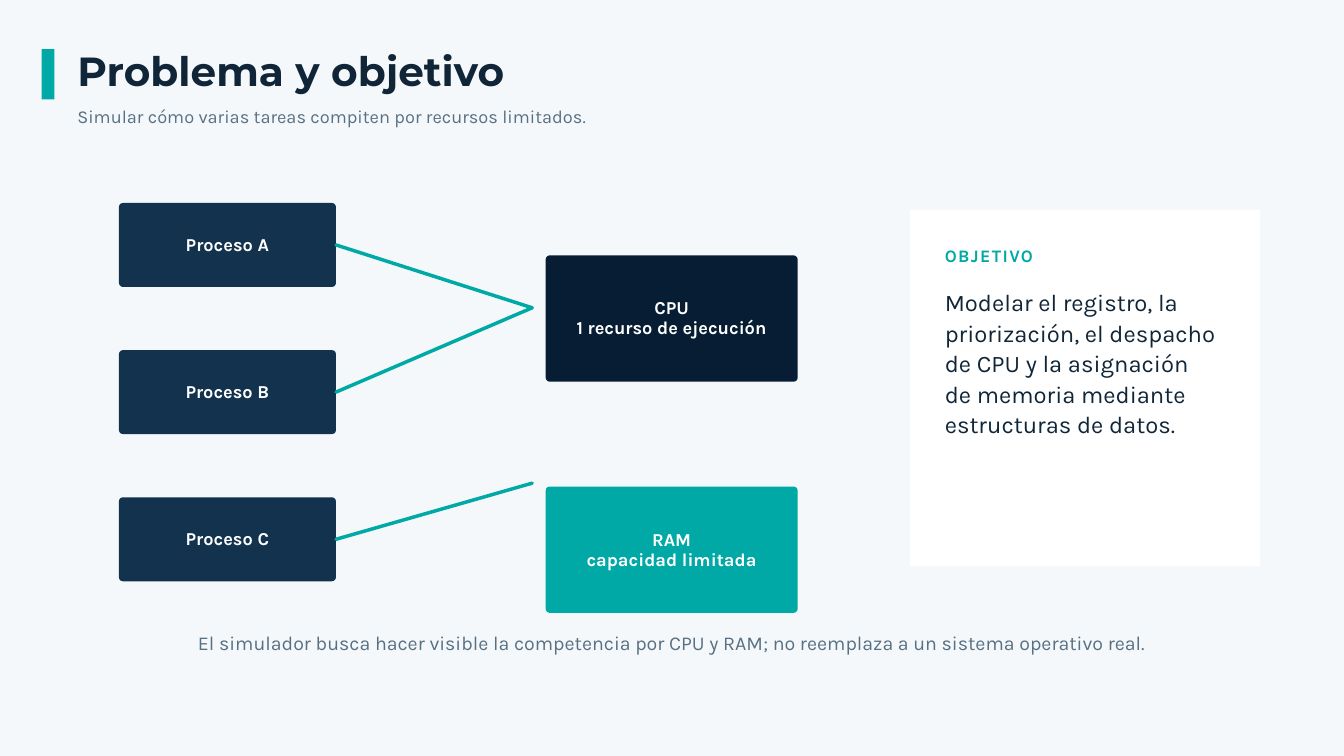
from lxml import etree
from pptx import Presentation
from pptx.dml.color import RGBColor
from pptx.enum.shapes import MSO_CONNECTOR, MSO_SHAPE
from pptx.enum.text import MSO_ANCHOR, PP_ALIGN
from pptx.oxml.ns import qn
from pptx.util import Inches, Pt

LEFT, CENTER = PP_ALIGN.LEFT, PP_ALIGN.CENTER
TOP, MIDDLE = MSO_ANCHOR.TOP, MSO_ANCHOR.MIDDLE
RECTANGLE, ROUNDED = MSO_SHAPE.RECTANGLE, MSO_SHAPE.ROUNDED_RECTANGLE
STRAIGHT = MSO_CONNECTOR.STRAIGHT
RIGHT_SIDE = 3

THEME = {
    "background": "F4F8FA",
    "accent": "00A9A5",
    "process": "12324D",
    "cpu": "071D33",
    "card": "FFFFFF",
    "line_width": 3.75,
    "radius": 0.06,
    "styles": {
        "title": {"font": "Montserrat", "size": 43.5, "color": "102638", "bold": True, "leading": 46.1},
        "subtitle": {"font": "Karla", "size": 19.5, "color": "587083", "bold": False, "leading": 25},
        "label": {"font": "Karla", "size": 19.5, "color": "FFFFFF", "bold": True, "leading": 21.4},
        "heading": {"font": "Karla", "size": 18.8, "color": "00A9A5", "bold": True, "leading": 26.2, "spacing": 1.5},
        "body": {"font": "Karla", "size": 25.5, "color": "102638", "bold": False, "leading": 32.6},
        "footer": {"font": "Karla", "size": 21, "color": "587083", "bold": False, "leading": 26.9},
    },
}

TEXTS = [
    ("Problema y objetivo", "title", (1.15, 0.77, 15.62, 0.66), LEFT),
    ("Simular cómo varias tareas compiten por recursos limitados.", "subtitle", (1.15, 1.55, 15.62, 0.34), LEFT),
    ("OBJETIVO", "heading", (14.06, 3.59, 4.17, 0.34), LEFT),
    (
        "Modelar el registro, la priorización, el despacho de CPU y la asignación "
        "de memoria mediante estructuras de datos.",
        "body", (14.06, 4.26, 4.06, 2.22), LEFT,
    ),
    (
        "El simulador busca hacer visible la competencia por CPU y RAM; "
        "no reemplaza a un sistema operativo real.",
        "footer", (2.6, 9.36, 14.79, 0.35), CENTER,
    ),
]
PANELS = [
    ("accent", (0.62, 0.73, 0.19, 0.75)),
    ("card", (13.54, 3.12, 5.21, 5.31)),
]
RESOURCES = [
    ("CPU\n1 recurso de ejecución", "cpu", 3.8),
    ("RAM\ncapacidad limitada", "accent", 7.24),
]
PROCESSES = [
    ("Proceso A", 4.58),
    ("Proceso B", 4.58),
    ("Proceso C", 7.19),
]
RESOURCE_LEFT, RESOURCE_WIDTH, RESOURCE_HEIGHT = 8.12, 3.75, 1.88
PROCESS_LEFT, PROCESS_TOP, PROCESS_WIDTH, PROCESS_HEIGHT = 1.77, 3.02, 3.23, 1.25
PROCESS_PITCH = 2.19
LINK_END = 7.92


def color(value):
    return RGBColor.from_string(value)


def write(shape, text, style_name, align, anchor, margin):
    style = THEME["styles"][style_name]
    frame = shape.text_frame
    frame.word_wrap = True
    frame.vertical_anchor = anchor
    frame.margin_left = frame.margin_right = Inches(margin)
    frame.margin_top = frame.margin_bottom = Inches(margin)
    frame.text = text
    for para in frame.paragraphs:
        para.alignment = align
        para.line_spacing = Pt(style["leading"])
        for span in para.runs:
            span.font.name = style["font"]
            span.font.size = Pt(style["size"])
            span.font.bold = style["bold"]
            span.font.color.rgb = color(style["color"])
            if "spacing" in style:
                span.font._element.set("spc", str(int(style["spacing"] * 100)))


def add_panel(page, kind, fill, place):
    panel = page.shapes.add_shape(kind, *map(Inches, place))
    panel.shadow.inherit = False
    panel.fill.solid()
    panel.fill.fore_color.rgb = color(THEME[fill])
    panel.line.fill.background()
    return panel


def add_block(page, text, fill, place):
    block = add_panel(page, ROUNDED, fill, place)
    block.adjustments[0] = THEME["radius"] / min(place[2:])
    write(block, text, "label", CENTER, MIDDLE, 0.06)
    return block


def add_link(page, process, middle, end):
    link = page.shapes.add_connector(
        STRAIGHT, process.left + process.width, Inches(middle), Inches(LINK_END), Inches(end)
    )
    link.begin_connect(process, RIGHT_SIDE)
    link.line.color.rgb = color(THEME["accent"])
    link.line.width = Pt(THEME["line_width"])
    link.line._get_or_add_ln().set("cap", "rnd")
    etree.SubElement(link._element.spPr, qn("a:effectLst"))


def main():
    deck = Presentation()
    deck.slide_width, deck.slide_height = Inches(20), Inches(11.25)
    page = deck.slides.add_slide(deck.slide_layouts[6])
    page.background.fill.solid()
    page.background.fill.fore_color.rgb = color(THEME["background"])

    for fill, place in PANELS:
        add_panel(page, RECTANGLE, fill, place)
    for text, fill, top in RESOURCES:
        add_block(page, text, fill, (RESOURCE_LEFT, top, RESOURCE_WIDTH, RESOURCE_HEIGHT))
    for index, (text, link_end) in enumerate(PROCESSES):
        top = PROCESS_TOP + index * PROCESS_PITCH
        process = add_block(page, text, "process", (PROCESS_LEFT, top, PROCESS_WIDTH, PROCESS_HEIGHT))
        add_link(page, process, top + PROCESS_HEIGHT / 2, link_end)
    for text, style_name, place, align in TEXTS:
        box = page.shapes.add_textbox(*map(Inches, place))
        write(box, text, style_name, align, TOP, 0)

    deck.save("out.pptx")


if __name__ == "__main__":
    main()
